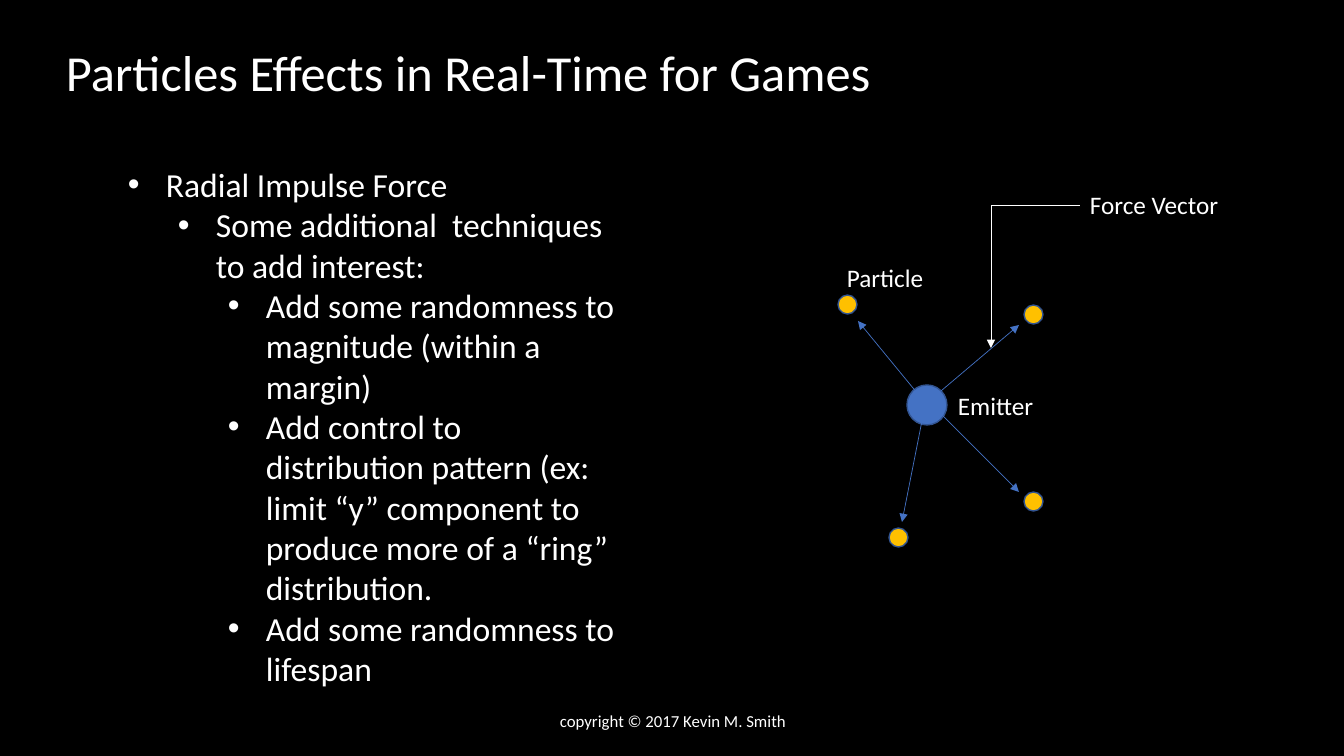
from lxml import etree
from pptx import Presentation
from pptx import util as u
from pptx.dml.color import RGBColor
from pptx.enum import shapes, text
from pptx.oxml.ns import qn

WHITE, BLACK, BLUE, NAVY, GOLD = "FFFFFF", "000000", "4472C4", "325491", "FFC000"

BULLETS = [
    (0, "Radial Impulse Force"),
    (1, "Some additional  techniques to add interest:"),
    (2, "Add some randomness to magnitude (within a margin)"),
    (2, "Add control to distribution pattern (ex: limit “y” component to "
        "produce more of a “ring” distribution."),
    (2, "Add some randomness to lifespan"),
]
PARTICLES = [(1024, 305), (838, 295), (889, 528), (1024, 492)]
FORCES = [
    ((927, 405), (858, 321)),
    ((941, 391), (1019, 325)),
    ((922, 421), (902, 522)),
    ((918, 391), (1019, 492)),
]
LABELS = [
    ("Particle", (837, 257, 104, 40)),
    ("Emitter", (948, 385, 103, 40)),
    ("Force Vector", (1080, 184, 150, 40)),
]


def px(length):
    return u.Emu(round(length * 914400 / 100.8))


def color(value):
    return RGBColor.from_string(value)


class ParticleSlide:
    """Draws styled text, dots and arrows on one slide."""

    def __init__(self, presentation, font="Calibri"):
        self.font = font
        self.slide = presentation.slides.add_slide(presentation.slide_layouts[6])
        self.slide.background.fill.solid()
        self.slide.background.fill.fore_color.rgb = color(BLACK)

    def add_run(self, paragraph, content, size):
        run = paragraph.add_run()
        run.text = content
        for name, value in {"name": self.font, "size": u.Pt(size)}.items():
            setattr(run.font, name, value)
        run.font.color.rgb = color(WHITE)

    def add_frame(self, box, **frame_format):
        frame = self.slide.shapes.add_textbox(*map(px, box)).text_frame
        for name, value in frame_format.items():
            setattr(frame, name, value)
        return frame

    def add_text(self, content, box, size, align=text.PP_ALIGN.LEFT, **frame_format):
        paragraph = self.add_frame(box, **frame_format).paragraphs[0]
        paragraph.alignment = align
        self.add_run(paragraph, content, size)

    def add_bullets(self, items, box, size):
        frame = self.add_frame(box, word_wrap=True)
        for index, (level, content) in enumerate(items):
            paragraph = frame.add_paragraph() if index else frame.paragraphs[0]
            paragraph.level = level
            properties = paragraph._p.get_or_add_pPr()
            properties.set("marL", str(px(38 + 50 * level)))
            properties.set("indent", str(-px(38)))
            etree.SubElement(properties, qn("a:buFont"), typeface="Arial")
            etree.SubElement(properties, qn("a:buChar"), char="•")
            self.add_run(paragraph, content, size)

    def add_dot(self, left, top, diameter, fill):
        box = map(px, (left, top, diameter, diameter))
        shape = self.slide.shapes.add_shape(shapes.MSO_SHAPE.OVAL, *box)
        shape.shadow.inherit = False
        shape.fill.solid()
        shape.fill.fore_color.rgb = color(fill)
        shape.line.color.rgb = color(NAVY)
        shape.line.width = u.Pt(1)

    def add_arrow(self, start, end, line_color, kind=shapes.MSO_CONNECTOR.STRAIGHT):
        connector = self.slide.shapes.add_connector(kind, *map(px, start + end))
        connector.line.color.rgb = color(line_color)
        connector.line.width = u.Pt(0.5)
        etree.SubElement(connector.line._get_or_add_ln(), qn("a:tailEnd"), type="triangle")
        etree.SubElement(connector._element.spPr, qn("a:effectLst"))
        return connector

    def add_corner_arrow(self, start, end, line_color):
        connector = self.add_arrow(start, end, line_color, shapes.MSO_CONNECTOR.ELBOW)
        geometry = connector._element.spPr.find(qn("a:prstGeom"))
        geometry.set("prst", "bentConnector2")


def main():
    presentation = Presentation()
    presentation.slide_width, presentation.slide_height = px(1344), px(756)
    page = ParticleSlide(presentation)

    page.add_text("Particles Effects in Real-Time for Games", (56, 36, 835, 72), 36,
                  word_wrap=False)
    page.add_text("copyright © 2017 Kevin M. Smith", (446, 701, 454, 40), 12,
                  text.PP_ALIGN.CENTER, word_wrap=True,
                  vertical_anchor=text.MSO_ANCHOR.MIDDLE)
    page.add_bullets(BULLETS, (118, 159, 515, 535), 24)

    page.add_dot(907, 385, 40, BLUE)
    for start, end in FORCES:
        page.add_arrow(start, end, BLUE)
    for left, top in PARTICLES:
        page.add_dot(left, top, 19, GOLD)
    for content, box in LABELS:
        page.add_text(content, box, 18, word_wrap=False)
    page.add_corner_arrow((1080, 205), (991, 348), WHITE)

    presentation.save("out.pptx")


if __name__ == "__main__":
    main()
